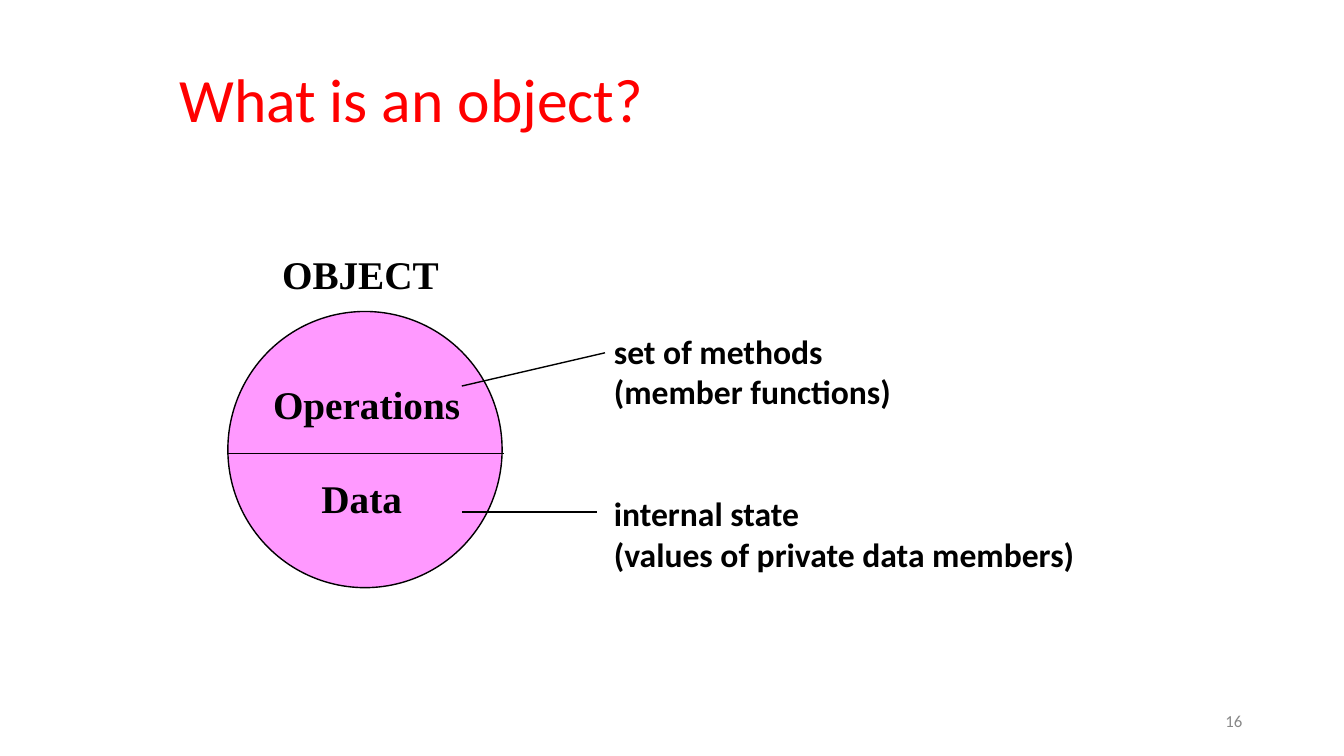
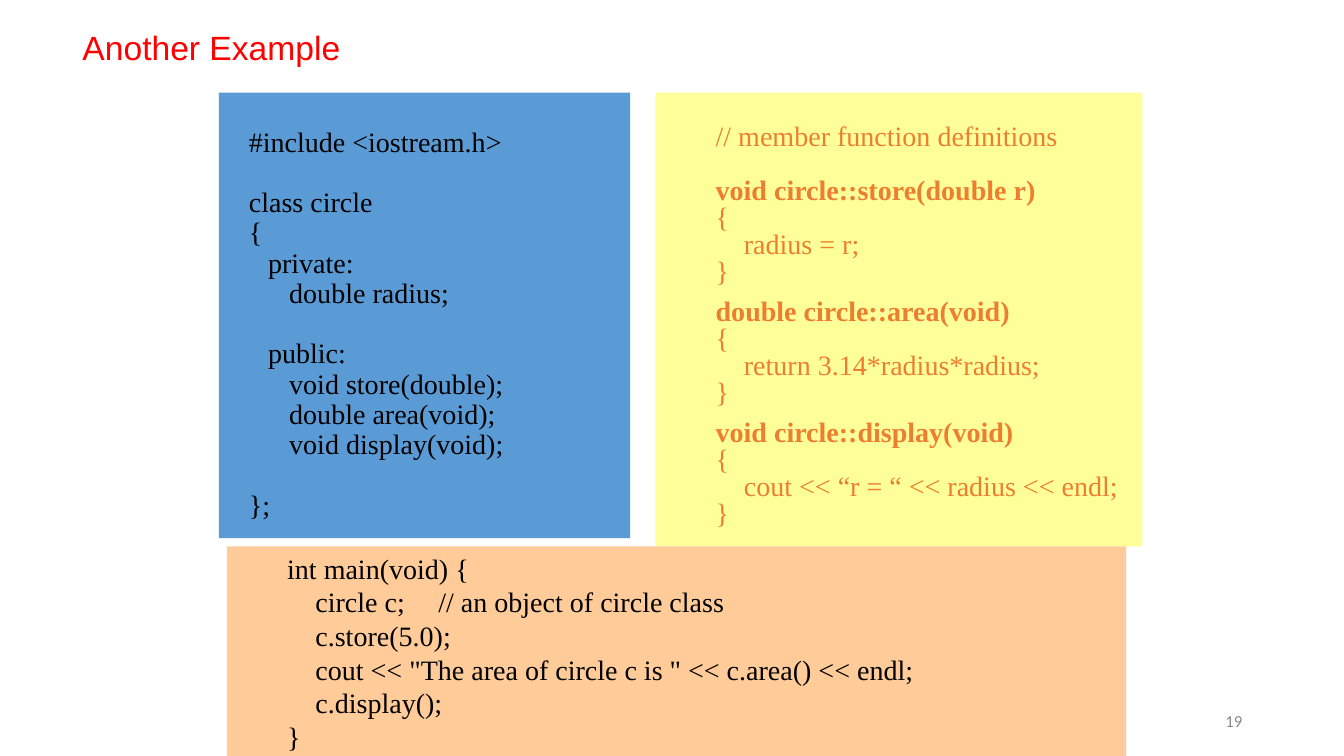
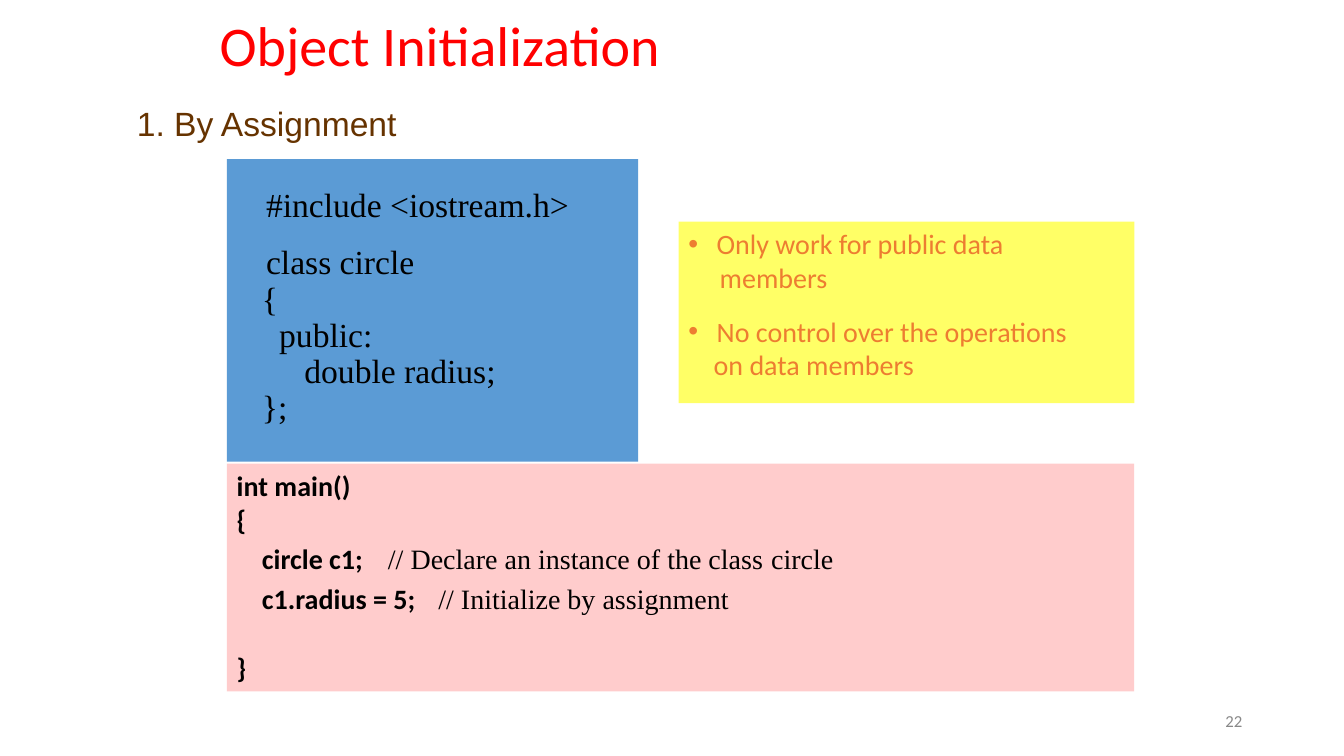
from dataclasses import dataclass

from lxml import etree
from pptx import Presentation, util as u
from pptx.dml.color import RGBColor
from pptx.enum import shapes, text
from pptx.oxml.ns import qn


@dataclass(frozen=True)
class Theme:
    """Colours, fonts and type sizes shared by the slides."""
    red: str = "FF0000"
    black: str = "000000"
    grey: str = "888888"
    brown: str = "663300"
    orange: str = "ED7D31"
    blue: str = "5B9BD5"
    pink: str = "FF99FF"
    rose: str = "FFCCCC"
    peach: str = "FFCC99"
    pale_yellow: str = "FFFF99"
    yellow: str = "FFFF66"
    sans: str = "Calibri"
    serif: str = "Times New Roman"
    plain: str = "Arial"
    title: int = 44
    subtitle: int = 40
    name: int = 28
    label: int = 24
    code: int = 20
    number: int = 12


T = Theme()


@dataclass(frozen=True)
class Style:
    """Look of a run."""
    font: str
    size: int
    color: str = T.black
    bold: bool = False


@dataclass(frozen=True)
class Line:
    """One paragraph: runs of (words, style), or words in the box's style."""
    runs: object
    indent: float = 0
    before: float = 0
    tab: float = 0
    bullet: str = ""


NAME = Style(T.serif, T.name, bold=True)
LABEL = Style(T.sans, T.label, bold=True)
CODE = Style(T.serif, T.code)
BIG_CODE = Style(T.serif, T.label)
MEMBER = Style(T.serif, T.code, T.orange)
MEMBER_HEAD = Style(T.serif, T.code, T.orange, True)
MAIN = Style(T.sans, T.code, bold=True)
NOTE = Style(T.sans, T.code, T.orange)


def write(frame, lines, style, spacing=1.0, top=0.05, anchor="TOP", align="LEFT"):
    """Fill a text frame with lines, run by run."""
    frame.word_wrap = True
    frame.vertical_anchor = getattr(text.MSO_ANCHOR, anchor)
    frame.margin_left = frame.margin_right = u.Inches(0.1)
    frame.margin_top, frame.margin_bottom = u.Inches(top), u.Inches(0.05)
    for i, line in enumerate(lines):
        para = frame.paragraphs[0] if i == 0 else frame.add_paragraph()
        para.alignment = getattr(text.PP_ALIGN, align)
        para.line_spacing = spacing
        para.space_before = u.Pt(line.before)
        props = para._p.get_or_add_pPr()
        indent = u.Inches(line.indent)
        props.set("marL", str(indent if line.bullet else 0))
        props.set("indent", str(-indent if line.bullet else indent))
        if line.bullet:
            etree.SubElement(props, qn("a:buFont"), typeface=T.plain)
            etree.SubElement(props, qn("a:buChar"), char=line.bullet)
        if line.tab:
            stops = etree.SubElement(props, qn("a:tabLst"))
            etree.SubElement(stops, qn("a:tab"), pos=str(u.Inches(line.tab)), algn="l")
        runs = [(line.runs, style)] if isinstance(line.runs, str) else line.runs
        for words, look in runs:
            run = para.add_run()
            run.text = words
            run.font.name, run.font.size = look.font, u.Pt(look.size)
            run.font.bold = look.bold
            run.font.color.rgb = RGBColor.from_string(look.color)


def label(slide, box, lines, style, **layout):
    """Place unfilled text in a box."""
    area = slide.shapes.add_textbox(*map(u.Inches, box))
    write(area.text_frame, lines, style, **layout)


def panel(slide, box, fill, kind="RECTANGLE", outline=None):
    """Place a filled shape and return it."""
    shape = slide.shapes.add_shape(getattr(shapes.MSO_SHAPE, kind), *map(u.Inches, box))
    shape.shadow.inherit = False
    shape.fill.solid()
    shape.fill.fore_color.rgb = RGBColor.from_string(fill)
    if outline:
        shape.line.color.rgb = RGBColor.from_string(outline)
        shape.line.width = u.Pt(1)
    else:
        shape.line.fill.background()
    return shape


def code_panel(slide, box, fill, lines, style, **layout):
    """Place a filled rectangle holding lines of text."""
    write(panel(slide, box, fill).text_frame, lines, style, **layout)


def rule(slide, x1, y1, x2, y2):
    """Draw a thin black line."""
    line = slide.shapes.add_connector(
        shapes.MSO_CONNECTOR.STRAIGHT, *map(u.Inches, (x1, y1, x2, y2)))
    line.line.color.rgb = RGBColor.from_string(T.black)
    line.line.width = u.Pt(1)
    etree.SubElement(line._element.spPr, qn("a:effectLst"))


def new_slide(deck, number, title, box, font, size, anchor="MIDDLE"):
    """Add a slide with its page number and red title."""
    slide = deck.slides.add_slide(deck.slide_layouts[6])
    label(slide, (9.42, 6.95, 3, 0.4), [Line(str(number))],
          Style(T.sans, T.number, T.grey), anchor="MIDDLE", align="RIGHT")
    label(slide, box, [Line(title)], Style(font, size, T.red),
          spacing=0.9, anchor=anchor)
    return slide


def object_diagram(slide, x, y):
    """Draw the split circle and its callouts from its top left corner."""
    label(slide, (x + 0.44, y - 0.66, 1.76, 0.57), [Line("OBJECT")], NAME)
    panel(slide, (x, y, 2.72, 2.74), T.pink, "OVAL", T.black)
    label(slide, (x + 0.35, y + 0.63, 2.06, 1.5),
          [Line("Operations"), Line("Data", 0.48, 33.6)], NAME)
    label(slide, (x + 3.73, y + 0.14, 4.82, 2.53),
          [Line("set of methods"), Line("(member functions)"),
           Line("internal state", before=58.6),
           Line("(values of private data members)")], LABEL)
    rule(slide, x + 2.32, y + 0.74, x + 3.74, y + 0.41)
    rule(slide, x + 2.32, y + 1.99, x + 3.66, y + 1.99)
    rule(slide, x - 0.01, y + 1.41, x + 2.74, y + 1.41)


def member_function(head, body, before):
    """Return the lines of one member function definition."""
    return [Line([(head, MEMBER_HEAD)], 0.5, before), Line("{", 0.5),
            Line(body, 0.78), Line("}", 0.5)]


def object_slide(deck):
    """Build the slide that defines an object."""
    slide = new_slide(deck, 16, "What is an object?", (1.68, 0.42, 9.79, 0.98),
                      T.sans, T.title, "BOTTOM")
    object_diagram(slide, 2.26, 3.09)


def example_slide(deck):
    """Build the slide with the full circle class."""
    slide = new_slide(deck, 19, "Another Example", (0.72, 0.12, 10, 0.75),
                      T.plain, T.label)
    gap = 21.6
    code_panel(slide, (2.17, 0.92, 4.08, 4.42), T.blue, [
        Line("#include <iostream.h>", 0.2),
        Line("class circle", 0.2, gap),
        Line("{", 0.2),
        Line("private:", 0.39),
        Line("double radius;", 0.6),
        Line("public:", 0.39, gap),
        Line("void store(double);", 0.6),
        Line("double area(void);", 0.6),
        Line("void display(void);", 0.6),
        Line("};", 0.2, gap),
    ], CODE, spacing=0.9, top=0.35)
    code_panel(slide, (6.5, 0.92, 4.83, 4.5), T.pale_yellow, [
        Line("// member function definitions", 0.5),
        *member_function("void circle::store(double r)", "radius = r;", 19.3),
        *member_function("double circle::area(void)",
                         "return 3.14*radius*radius;", 9.6),
        *member_function("void circle::display(void)",
                         "cout << “r = “ << radius << endl;", 9.6),
    ], MEMBER, spacing=0.8, top=0.32)
    code_panel(slide, (2.25, 5.42, 8.92, 2.08), T.peach, [
        Line("int main(void) {", 0.5),
        Line("circle c;\t// an object of circle class", 0.78, tab=1.88),
        Line("c.store(5.0);", 0.78),
        Line('cout << "The area of circle c is " << c.area() << endl;', 0.78),
        Line("c.display();", 0.78),
        Line("}", 0.5),
    ], CODE)


def initialization_slide(deck):
    """Build the slide on initialization by assignment."""
    slide = new_slide(deck, 22, "Object Initialization", (2.08, 0.09, 9, 0.78),
                      T.sans, T.subtitle)
    label(slide, (1.26, 0.97, 2.8, 0.5), [Line("1. By Assignment")],
          Style(T.plain, T.label, T.brown))
    code_panel(slide, (2.25, 1.58, 4.08, 3), T.blue, [
        Line("#include <iostream.h>", 0.29),
        Line("class circle", 0.29, 15),
        Line("{", 0.25),
        Line("public:", 0.42),
        Line("double radius;", 0.67),
        Line("};", 0.25),
    ], BIG_CODE, spacing=0.9, top=0.29)
    code_panel(slide, (2.25, 4.6, 9, 2.26), T.rose, [
        Line("int main()"),
        Line("{"),
        Line([("circle c1;", MAIN), ("\t", LABEL),
              ("// Declare an instance of the class", CODE), (" ", LABEL),
              ("circle", CODE)], 0.25, tab=3.23),
        Line([("c1.radius = 5;", MAIN), ("\t", LABEL),
              ("// Initialize by assignment", CODE)], 0.25, tab=2.22),
        Line("}", before=24.4),
    ], MAIN)
    code_panel(slide, (6.73, 2.2, 4.52, 1.8), T.yellow, [
        Line("Only work for public data", 0.28, bullet="•"),
        Line("members", 0.31),
        Line("No control over the operations", 0.28, 14.6, bullet="•"),
        Line("on data members", 0.25),
    ], NOTE)


def main():
    """Build and save the deck."""
    deck = Presentation()
    deck.slide_width, deck.slide_height = u.Inches(13.33), u.Inches(7.5)
    for build in (object_slide, example_slide, initialization_slide):
        build(deck)
    deck.save("out.pptx")


if __name__ == "__main__":
    main()
